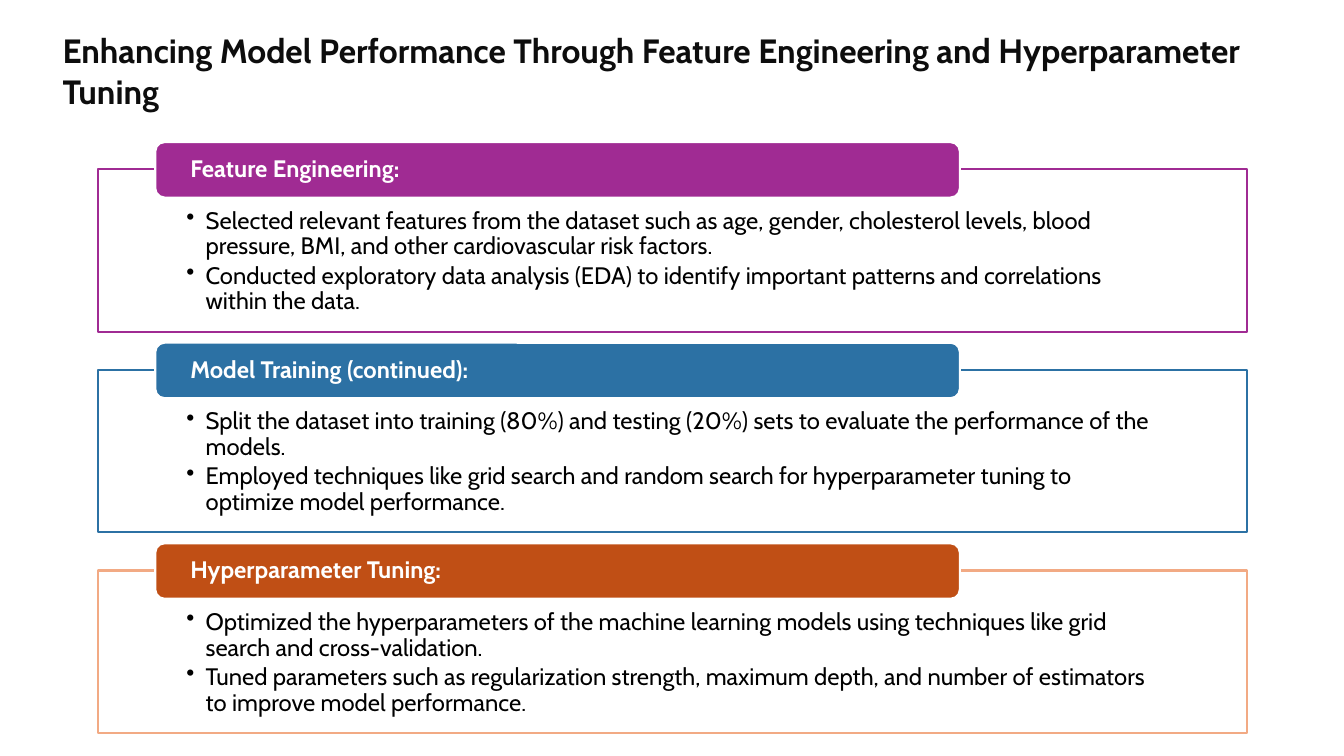
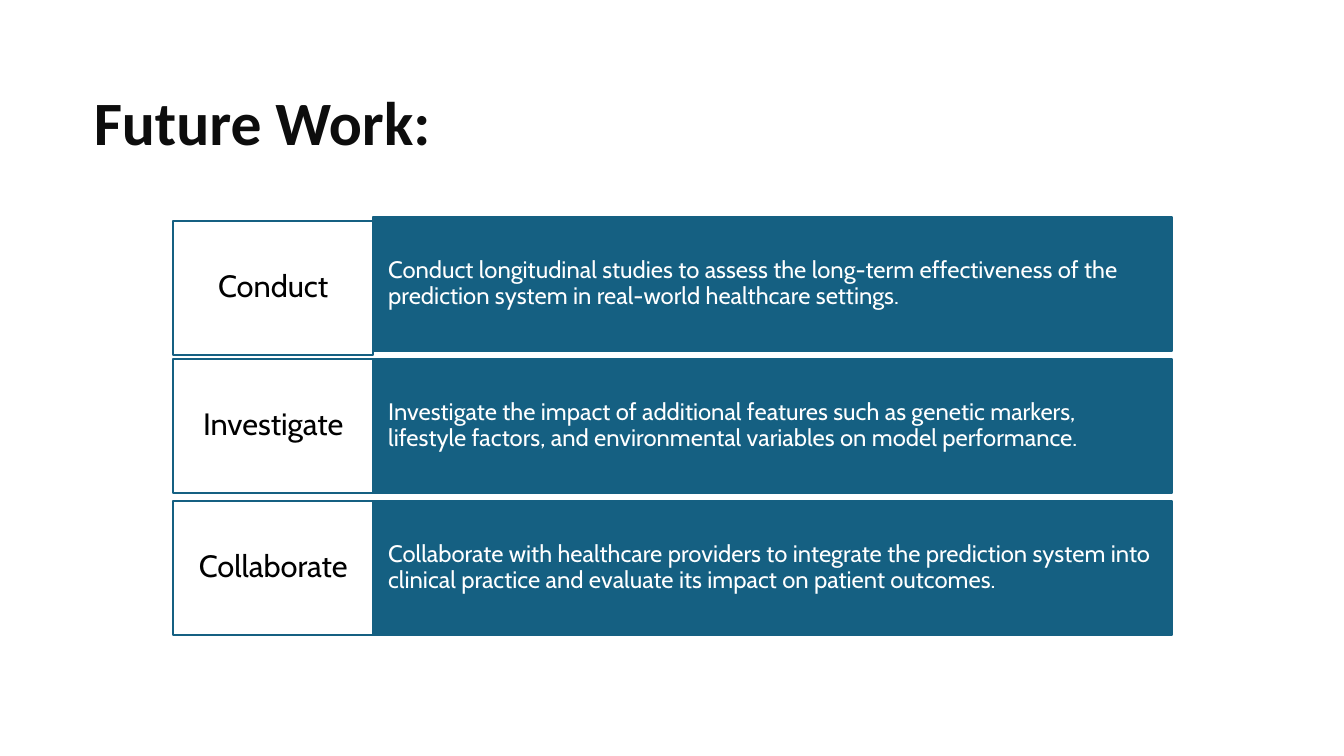
from lxml import etree
from pptx import Presentation
from pptx.dml.color import RGBColor
from pptx.enum.shapes import MSO_SHAPE
from pptx.enum.text import MSO_ANCHOR, MSO_AUTO_SIZE, PP_ALIGN
from pptx.oxml.ns import qn
from pptx.util import Inches, Pt

RECTANGLE, ROUNDED = MSO_SHAPE.RECTANGLE, MSO_SHAPE.ROUNDED_RECTANGLE
TOP, MIDDLE = MSO_ANCHOR.TOP, MSO_ANCHOR.MIDDLE
LEFT, CENTER = PP_ALIGN.LEFT, PP_ALIGN.CENTER
NO_AUTOFIT = MSO_AUTO_SIZE.NONE

WHITE = RGBColor(0xFF, 0xFF, 0xFF)
BLACK = RGBColor(0x00, 0x00, 0x00)
TITLE_INK = RGBColor(0x0D, 0x0D, 0x0D)
PURPLE = RGBColor(0xA0, 0x2B, 0x93)
BLUE = RGBColor(0x2C, 0x71, 0xA4)
ORANGE = RGBColor(0xC0, 0x4F, 0x15)
PEACH = RGBColor(0xF2, 0xAA, 0x84)
TEAL = RGBColor(0x15, 0x60, 0x82)

SECTIONS = [
    ("Feature Engineering:", PURPLE, PURPLE, [
        "Selected relevant features from the dataset such as age, gender, cholesterol levels, "
        "blood pressure, BMI, and other cardiovascular risk factors.",
        "Conducted exploratory data analysis (EDA) to identify important patterns and "
        "correlations within the data."]),
    ("Model Training (continued):", BLUE, BLUE, [
        "Split the dataset into training (80%) and testing (20%) sets to evaluate the "
        "performance of the models.",
        "Employed techniques like grid search and random search for hyperparameter tuning to "
        "optimize model performance."]),
    ("Hyperparameter Tuning:", ORANGE, PEACH, [
        "Optimized the hyperparameters of the machine learning models using techniques like "
        "grid search and cross-validation.",
        "Tuned parameters such as regularization strength, maximum depth, and number of "
        "estimators to improve model performance."]),
]

FUTURE_STEPS = [
    ("Conduct", "Conduct longitudinal studies to assess the long-term effectiveness of the "
                "prediction system in real-world healthcare settings."),
    ("Investigate", "Investigate the impact of additional features such as genetic markers, "
                    "lifestyle factors, and environmental variables on model performance."),
    ("Collaborate", "Collaborate with healthcare providers to integrate the prediction system "
                    "into clinical practice and evaluate its impact on patient outcomes."),
]


class Deck:
    font = "Cabin"
    text_size = 17
    label_size = 22
    line_width = Pt(1.5)
    line_spacing = 0.9

    def __init__(self):
        self.presentation = Presentation()
        self.presentation.slide_width = Inches(13.33)
        self.presentation.slide_height = Inches(7.5)
        self.slide = None

    def add_slide(self, title, left, top, width, height, size, font=font):
        title_only = self.presentation.slide_layouts[5]
        self.slide = self.presentation.slides.add_slide(title_only)
        shape = self.slide.shapes.title
        shape.left, shape.top = Inches(left), Inches(top)
        shape.width, shape.height = Inches(width), Inches(height)
        self.set_text(shape, [title], size, TITLE_INK, bold=True, anchor=TOP,
                      insets=(0.1, 0.05), spacing=1.0, font=font)

    def set_text(self, shape, lines, size, color, bold=False, align=LEFT, anchor=MIDDLE,
                 insets=(0.1, 0.1), spacing=line_spacing, font=font):
        """Fill a shape with paragraphs; insets are (sides, top and bottom) in inches."""
        frame = shape.text_frame
        frame.text = "\n".join(lines)
        frame.word_wrap = True
        frame.auto_size = NO_AUTOFIT
        frame.vertical_anchor = anchor
        frame.margin_left = frame.margin_right = Inches(insets[0])
        frame.margin_top = frame.margin_bottom = Inches(insets[1])
        for paragraph in frame.paragraphs:
            paragraph.alignment = align
            paragraph.line_spacing = spacing
            for run in paragraph.runs:
                run.font.name = font
                run.font.size = Pt(size)
                run.font.bold = bold
                run.font.color.rgb = color

    def box(self, kind, left, top, width, height, fill, line):
        shape = self.slide.shapes.add_shape(
            kind, Inches(left), Inches(top), Inches(width), Inches(height))
        shape.shadow.inherit = False
        shape.fill.solid()
        shape.fill.fore_color.rgb = fill
        shape.line.color.rgb = line
        shape.line.width = self.line_width
        return shape

    def bullet_panel(self, top, line, items):
        panel = self.box(RECTANGLE, 0.97, top, 11.4, 1.61, WHITE, line)
        self.set_text(panel, items, self.text_size, BLACK, anchor=TOP, insets=(0.88, 0.39))
        panel.text_frame.margin_bottom = Inches(0.13)
        for paragraph in panel.text_frame.paragraphs:
            paragraph.space_after = Pt(2.5)
            properties = paragraph._p.get_or_add_pPr()
            properties.set("marL", str(Inches(0.19)))
            properties.set("indent", str(-Inches(0.19)))
            etree.SubElement(properties, qn("a:buChar")).set("char", "•")

    def section(self, top, heading, fill, line, items):
        """Draw a bullet panel whose heading band overlaps its top edge."""
        self.bullet_panel(top, line, items)
        band = self.box(ROUNDED, 1.54, top - 0.27, 7.98, 0.55, fill, WHITE)
        self.set_text(band, [heading], self.text_size, WHITE, bold=True, insets=(0.32, 0))

    def step(self, top, label_top, label, description):
        detail = self.box(RECTANGLE, 3.7, top, 7.92, 1.33, TEAL, TEAL)
        self.set_text(detail, [description], self.text_size, WHITE, insets=(0.15, 0.34))
        name = self.box(RECTANGLE, 1.72, label_top, 1.98, 1.33, WHITE, TEAL)
        self.set_text(name, [label], self.label_size, BLACK, align=CENTER, insets=(0.1, 0.13))


def main():
    deck = Deck()

    deck.add_slide("Enhancing Model Performance Through Feature Engineering and "
                   "Hyperparameter Tuning", 0.52, 0.25, 12.11, 0.91, 24)
    for index, section in enumerate(SECTIONS):
        deck.section(1.68 + 1.99 * index, *section)

    deck.add_slide("Future Work:", 0.83, 0.78, 5.23, 0.84, 44, font="Calibri")
    for index, (label, description) in enumerate(FUTURE_STEPS):
        top = 2.15 + 1.41 * index
        label_top = top + 0.04 if index == 0 else top
        deck.step(top, label_top, label, description)

    deck.presentation.save("out.pptx")


if __name__ == "__main__":
    main()
